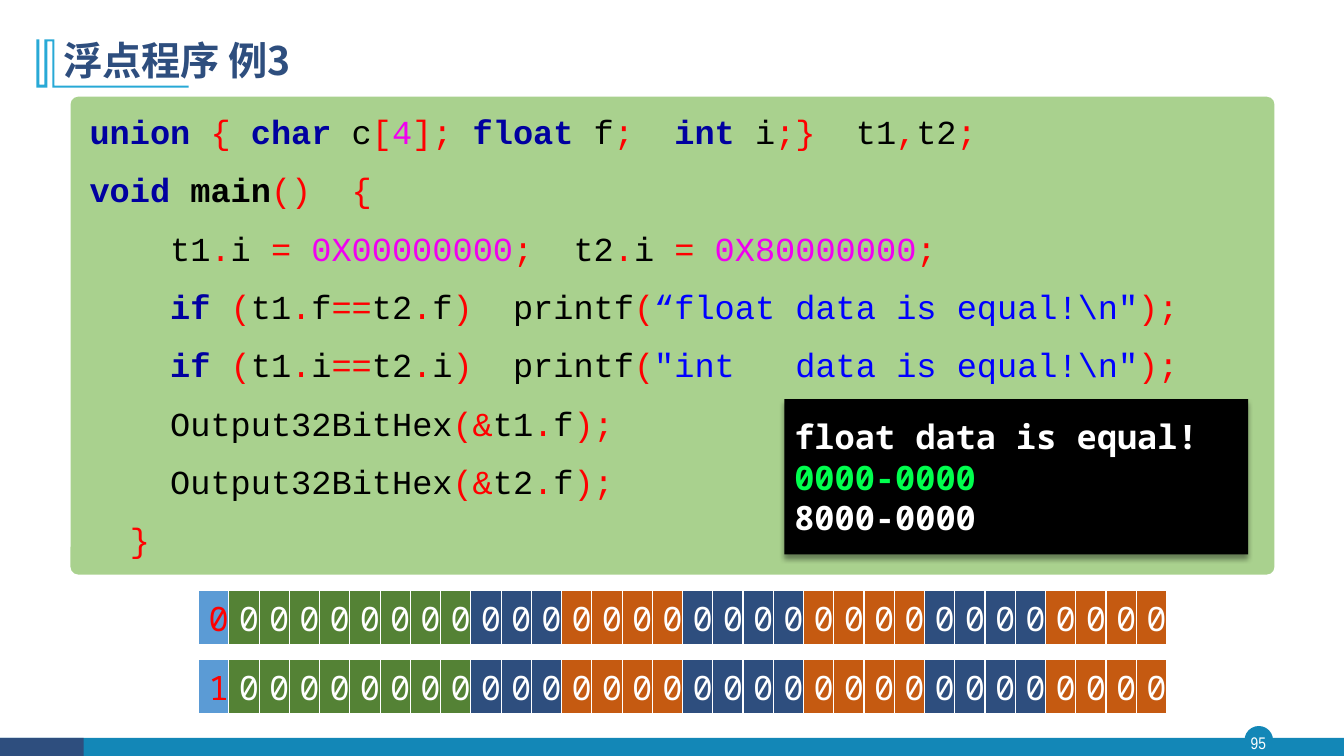
from itertools import groupby

from lxml.etree import SubElement
from pptx import Presentation
from pptx.dml.color import RGBColor
from pptx.enum.shapes import MSO_SHAPE
from pptx.enum.text import MSO_ANCHOR, PP_ALIGN
from pptx.oxml import parse_xml
from pptx.oxml.ns import nsdecls, qn
from pptx.util import Pt

PX = 9144
WHITE = RGBColor(0xFF, 0xFF, 0xFF)
BLACK = RGBColor(0, 0, 0)
TEAL = RGBColor(0x13, 0x87, 0xB7)
CYAN = RGBColor(0x28, 0xA9, 0xD6)
NAVY = RGBColor(0x2E, 0x4E, 0x7E)
LIME = RGBColor(0xA9, 0xD1, 0x8E)
NEON = RGBColor(0x00, 0xFF, 0x4E)
RED = RGBColor(0xFF, 0, 0)
BLUE = RGBColor(0, 0, 0xFF)
INK = RGBColor(0, 0, 0xA0)
PINK = RGBColor(0xF0, 0, 0xF0)
SKY = RGBColor(0x5B, 0x9B, 0xD5)
GREEN = RGBColor(0x54, 0x82, 0x35)
RUST = RGBColor(0xC5, 0x5A, 0x11)

KEYS = {"union", "char", "float", "int", "void", "if"}
CODE = r'''union { char c[4]; float f;  int i;}  t1,t2;
void main()  {
    t1.i = 0X00000000;  t2.i = 0X80000000;
    if (t1.f==t2.f)  printf(“float data is equal!\n");
    if (t1.i==t2.i)  printf("int   data is equal!\n");
    Output32BitHex(&t1.f);
    Output32BitHex(&t2.f);
  }'''.split("\n")
MARK = [(54, 39), (54, 85), (187, 85), (187, 87), (52, 87), (52, 41), (47, 41),
        (47, 87), (36, 87), (36, 39), (39, 39), (39, 84), (44, 84), (44, 39)]
FILLS = [SKY] + [GREEN] * 8 + [NAVY] * 3 + ([RUST] * 4 + [NAVY] * 4) * 2 + [RUST] * 4


def scale(*box):
    """Turn px lengths into EMU."""
    return [n * PX for n in box]


def paint(shape, color):
    """Give a shape a flat fill with no line or shadow."""
    shape.shadow.inherit = False
    shape.fill.solid()
    shape.fill.fore_color.rgb = color
    shape.line.fill.background()
    return shape


def block(slide, kind, box, color):
    """Add a plain preset shape."""
    return paint(slide.shapes.add_shape(kind, *scale(*box)), color)


def style(para, face, size, color=None, bold=None):
    """Set the font of a whole paragraph."""
    font = para.font
    font.name, font.size, font.bold = face, Pt(size), bold
    if color is not None:
        font.color.rgb = color
    return font


def label(slide, box, anchor):
    """Add an empty wrapping text box and return its frame."""
    frame = slide.shapes.add_textbox(*scale(*box)).text_frame
    frame.word_wrap = True
    frame.vertical_anchor = anchor
    return frame


def footer(slide, box):
    """Draw the bottom band and the page number."""
    left, top, width, height = box
    dot = block(slide, MSO_SHAPE.OVAL, (left + width - 98, top - 11, 27, 27), TEAL)
    dot.line.color.rgb = TEAL
    dot.line.width = Pt(1)
    block(slide, MSO_SHAPE.RECTANGLE, box, TEAL)
    block(slide, MSO_SHAPE.RECTANGLE, (left, top, 83, height), NAVY)
    frame = label(slide, (left + width - 101, top - 11, 32, 31), MSO_ANCHOR.MIDDLE)
    frame.margin_left = frame.margin_right = frame.margin_top = frame.margin_bottom = 0
    para = frame.paragraphs[0]
    para.text = "95"
    para.alignment = PP_ALIGN.CENTER
    style(para, "Arial Narrow", 12, WHITE)


def header(slide, box):
    """Draw the corner mark and the title."""
    left, top = box[:2]
    points = [(left - 53 + x, top - 28 + y) for x, y in MARK]
    pen = slide.shapes.build_freeform(*points[0], scale=PX)
    pen.add_line_segments(points[1:], close=True)
    paint(pen.convert_to_shape(), CYAN)
    para = label(slide, box, MSO_ANCHOR.MIDDLE).paragraphs[0]
    para.text = "浮点程序 例3"
    para.line_spacing = 0.9
    face = "Noto Sans CJK SC"
    style(para, face, 28, NAVY, True)
    for props in para._p.iter(qn("a:defRPr")):
        SubElement(props, qn("a:ea")).set("typeface", face)


def tokens(line):
    """Split a code line into text, colour and weight."""
    marks, quoted = [], False
    for char in line:
        quote = char in '“"'
        marks.append("text" if quoted or quote else "word" if char.isalnum() else "sign")
        quoted ^= quote
    for kind, group in groupby(zip(marks, line), lambda pair: pair[0]):
        word = "".join(char for _, char in group)
        if kind == "text":
            color = BLUE
        elif kind == "sign":
            color = RED
        else:
            color = INK if word in KEYS else PINK if word[0].isdigit() else BLACK
        yield word, color, word == "main" or color == INK


def listing(slide, box):
    """Draw the coloured code on its panel."""
    left, top, width, height = box
    panel = block(slide, MSO_SHAPE.ROUNDED_RECTANGLE, box, LIME)
    panel.adjustments[0] = 0.016
    frame = label(slide, (left + 9, top, width - 44, height), MSO_ANCHOR.TOP)
    frame.margin_top = 10 * PX
    for row, line in enumerate(CODE):
        para = frame.add_paragraph() if row else frame.paragraphs[0]
        para.line_spacing = 1.1
        para.space_before = Pt(10 if row else 0)
        style(para, "Courier New", 24)
        for word, color, bold in tokens(line):
            run = para.add_run()
            run.text = word
            run.font.color.rgb = color
            run.font.bold = bold


def console(slide, box):
    """Draw the program output on a black screen."""
    screen = block(slide, MSO_SHAPE.RECTANGLE, box, BLACK)
    effects = screen._element.spPr.find(qn("a:effectLst"))
    effects.append(parse_xml(
        f'<a:outerShdw {nsdecls("a")} blurRad="50800" dist="38100" dir="5400000">'
        '<a:srgbClr val="000000"><a:alpha val="40000"/></a:srgbClr></a:outerShdw>'))
    frame = screen.text_frame
    frame.vertical_anchor = MSO_ANCHOR.MIDDLE
    lines = [("float data is equal!", WHITE), ("0000-0000", NEON), ("8000-0000", WHITE)]
    for row, (text, color) in enumerate(lines):
        para = frame.add_paragraph() if row else frame.paragraphs[0]
        para.text = text
        para.alignment = PP_ALIGN.LEFT
        style(para, "Noto Sans Mono", 24, color, True)


def bits(slide, box, sign):
    """Draw one 32-bit word as a row of cells."""
    table = slide.shapes.add_table(1, len(FILLS), *scale(*box)).table
    table.first_row = table.horz_banding = False
    for spot, color in enumerate(FILLS):
        table.columns[spot].width = box[2] * PX // len(FILLS)
        cell = table.cell(0, spot)
        cell.vertical_anchor = MSO_ANCHOR.MIDDLE
        para = cell.text_frame.paragraphs[0]
        para.text = "0" if spot else sign
        style(para, "Noto Sans Mono", 24, WHITE if spot else RED)
        props = cell._tc.get_or_add_tcPr()
        for side, width in (("L", 1), ("R", 1), ("T", 1), ("B", 3)):
            props.append(parse_xml(
                f'<a:ln{side} {nsdecls("a")} w="{Pt(width)}"><a:solidFill>'
                f'<a:srgbClr val="{WHITE}"/></a:solidFill></a:ln{side}>'))
        cell.fill.solid()
        cell.fill.fore_color.rgb = color


def main():
    """Build the slide and save it."""
    deck = Presentation()
    deck.slide_width, deck.slide_height = scale(1333, 750)
    slide = deck.slides.add_slide(deck.slide_layouts[6])
    footer(slide, (0, 732, 1333, 19))
    header(slide, (53, 28, 1150, 68))
    listing(slide, (70, 96, 1194, 474))
    console(slide, (778, 396, 460, 154))
    for row, sign in enumerate("01"):
        bits(slide, (197, 586 + 68 * row, 960, 55), sign)
    deck.save("out.pptx")


if __name__ == "__main__":
    main()
